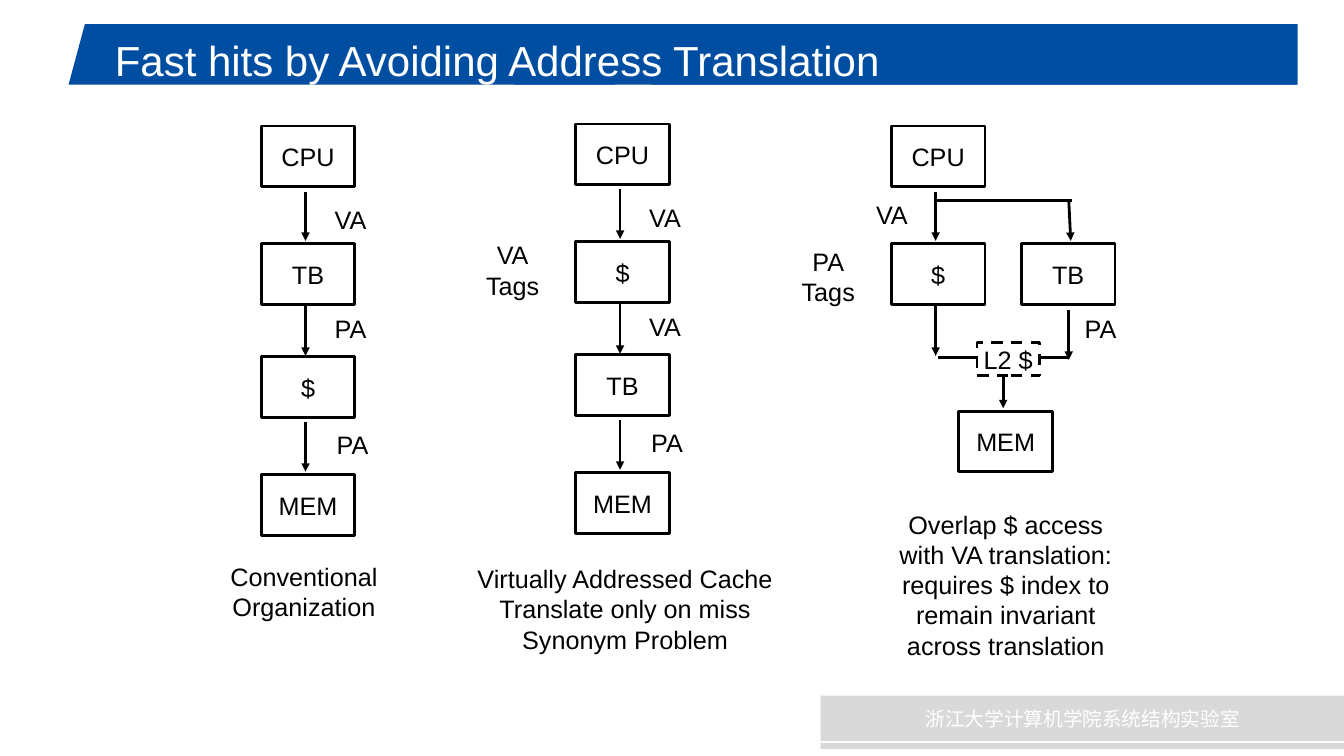
from lxml.etree import SubElement
from pptx import Presentation
from pptx.dml.color import RGBColor
from pptx.enum.dml import MSO_LINE
from pptx.enum.shapes import MSO_CONNECTOR, MSO_SHAPE
from pptx.enum.text import MSO_ANCHOR, MSO_AUTO_SIZE, PP_ALIGN
from pptx.oxml.ns import qn
from pptx.util import Emu, Pt

PX = 9144  # 100 px to the inch
BLACK, WHITE, BLUE, GRAY = "000000", "FFFFFF", "004EA2", "D9D9D9"
LATIN, CJK = "Arial", "Noto Sans CJK SC"
LEFT, MID = PP_ALIGN.LEFT, PP_ALIGN.CENTER


def px(*nums):
    return [Emu(n * PX) for n in nums]


def paint(code):
    return RGBColor.from_string(code)


class Sketch:
    def __init__(self, slide):
        self.shapes = slide.shapes
        self.size, self.weight = 18, 2

    def letter(self, shape, text, align=MID, size=None, ink=BLACK, font=LATIN,
               wrap=False):
        frame = shape.text_frame
        frame.word_wrap = wrap
        for i, line in enumerate(text.split("\n")):
            para = frame.add_paragraph() if i else frame.paragraphs[0]
            para.alignment = align
            run = para.add_run()
            run.text = line
            run.font.size = Pt(size or self.size)
            run.font.name = font
            run.font.color.rgb = paint(ink)
            if font == CJK:
                props = run._r.get_or_add_rPr()
                SubElement(props, qn("a:ea")).set("typeface", font)
        return frame

    def block(self, x, y, w, h, fill=WHITE, kind=MSO_SHAPE.RECTANGLE):
        shape = self.shapes.add_shape(kind, *px(x, y, w, h))
        shape.shadow.inherit = False
        shape.fill.solid()
        shape.fill.fore_color.rgb = paint(fill)
        shape.line.fill.background()
        return shape

    def unit(self, x, y, text, w=93, h=60, dash=False):
        shape = self.block(x, y, w, h)
        shape.line.color.rgb = paint(BLACK)
        shape.line.width = Pt(self.weight)
        if dash:
            shape.line.dash_style = MSO_LINE.DASH
        self.letter(shape, text).vertical_anchor = MSO_ANCHOR.MIDDLE

    def label(self, x, y, text, w=52, h=40, align=LEFT):
        box = self.shapes.add_textbox(*px(x, y, w, h))
        frame = self.letter(box, text, align)
        frame.auto_size = MSO_AUTO_SIZE.SHAPE_TO_FIT_TEXT

    def wire(self, x1, y1, x2, y2, head=True):
        link = self.shapes.add_connector(
            MSO_CONNECTOR.STRAIGHT, *px(x1, y1, x2, y2))
        link.line.color.rgb = paint(BLACK)
        link.line.width = Pt(self.weight)
        props = link._element.spPr
        if head:
            tail = SubElement(props.find(qn("a:ln")), qn("a:tailEnd"))
            tail.set("type", "triangle")
        SubElement(props, qn("a:effectLst"))

    def drop(self, x, y):
        self.wire(x, y, x, y + 49)

    def stack(self, x, y, units, tags):
        for gap, name in zip((0, 117, 229, 346), units):
            self.unit(x, y + gap, name)
        for gap in (65, 179, 294):
            self.drop(x + 44, y + gap)
        for (dx, dy), tag in zip(((63, 73), (63, 181), (65, 296)), tags):
            self.label(x + dx, y + dy, tag)


def main():
    deck = Presentation()
    deck.slide_width, deck.slide_height = px(1333, 750)
    art = Sketch(deck.slides.add_slide(deck.slide_layouts[6]))

    # Title band
    slant = art.block(68, 24, 542, 60, BLUE, MSO_SHAPE.TRAPEZOID)
    slant.adjustments[0] = 0.27
    art.block(510, 24, 777, 60, BLUE)
    art.block(646, 79, 640, 5, BLUE)
    title = art.shapes.add_textbox(*px(104, 25, 1015, 69))
    art.letter(title, "Fast hits by Avoiding Address Translation", LEFT, 30,
               WHITE, wrap=True).vertical_anchor = MSO_ANCHOR.MIDDLE

    # Footer
    foot = art.block(814, 690, 520, 45, GRAY)
    art.letter(foot, "浙江大学计算机学院系统结构实验室", MID, 14, WHITE, CJK,
               wrap=True).vertical_anchor = MSO_ANCHOR.MIDDLE
    art.block(814, 737, 520, 6, GRAY)

    # Conventional organization
    art.stack(259, 125, ("CPU", "TB", "$", "MEM"), ("VA", "PA", "PA"))
    art.label(218, 552, "Conventional\nOrganization", 167, 71, MID)

    # Virtually addressed cache
    art.stack(571, 123, ("CPU", "$", "TB", "MEM"), ("VA", "VA", "PA"))
    art.label(472, 233, "VA\nTags", 73, 70, MID)
    art.label(462, 554, "Virtually Addressed Cache\nTranslate only on miss\n"
              "Synonym Problem", 316, 101, MID)

    # Overlapped access
    for x, y, name in ((884, 125, "CPU"), (884, 242, "$"),
                       (1013, 242, "TB"), (951, 408, "MEM")):
        art.unit(x, y, name)
    for x, y in ((928, 190), (928, 304), (995, 356), (1060, 308)):
        art.drop(x, y)
    art.wire(1060, 198, 1062, 239)
    art.wire(1063, 199, 927, 199, head=False)
    art.wire(930, 355, 1060, 355, head=False)
    art.label(859, 193, "VA")
    art.label(785, 239, "PA\nTags", 73, 70, MID)
    art.label(1066, 306, "PA")
    art.unit(969, 340, "L2 $", 62, 33, dash=True)
    art.label(880, 500, "Overlap $ access\nwith VA translation:\n"
              "requires $ index to\nremain invariant\nacross translation",
              235, 161, MID)

    deck.save("out.pptx")


if __name__ == "__main__":
    main()
